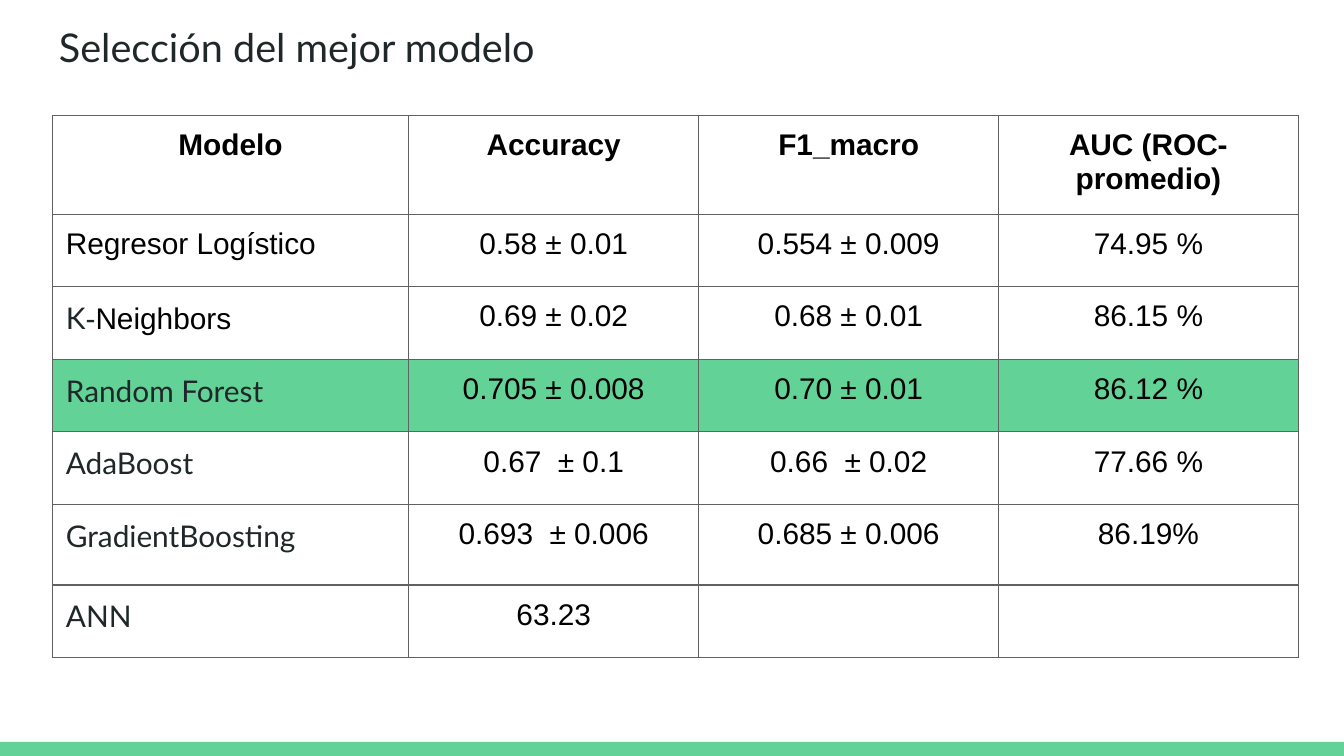
"""Build a slide with a table comparing classification models."""
from pptx import Presentation
from pptx.dml.color import RGBColor
from pptx.enum.shapes import MSO_SHAPE as Shape
from pptx.enum.text import PP_ALIGN as Align
from pptx.oxml import parse_xml
from pptx.oxml.ns import nsdecls
from pptx.util import Inches, Pt

COLORS = {"green": "63D297", "ink": "202729", "black": "000000", "border": "616161"}
HEADERS = ["Modelo", "Accuracy", "F1_macro", "AUC (ROC-promedio)"]
LATO = ("Lato", "ink")
ARIAL = ("Arial", "black")
MODELS = [
    ([("Regresor Logístico", *ARIAL)], "0.58 ± 0.01", "0.554 ± 0.009", "74.95 %"),
    ([("K", *LATO), ("-", "Arial", "ink"), ("Neighbors", *ARIAL)],
     "0.69 ± 0.02", "0.68 ± 0.01", "86.15 %"),
    ([("Random Forest", *LATO)], "0.705 ± 0.008", "0.70 ± 0.01", "86.12 %"),
    ([("AdaBoost", *LATO)], "0.67  ± 0.1", "0.66  ± 0.02", "77.66 %"),
    ([("GradientBoosting", *LATO)], "0.693  ± 0.006", "0.685 ± 0.006", "86.19%"),
    ([("ANN", *LATO)], "63.23", "", ""),
]
BEST_ROW = 3
COLUMN_WIDTHS = [2.65, 2.16, 2.23, 2.23]
ROW_HEIGHTS = [0.73, 0.54, 0.54, 0.54, 0.54, 0.6, 0.54]


class Slide:
    """Hold the style and the current page."""

    def __init__(self, deck):
        self.page = deck.slides.add_slide(deck.slide_layouts[6])
        self.inset = Inches(0.1)

    def color(self, name):
        return RGBColor.from_string(COLORS[name])

    def bar(self, left, top, width, height, color):
        shape = self.page.shapes.add_shape(
            Shape.RECTANGLE, Inches(left), Inches(top), Inches(width), Inches(height))
        shape.shadow.inherit = False
        shape.fill.solid()
        shape.fill.fore_color.rgb = self.color(color)
        shape.line.fill.background()

    def style(self, span, size, face, color, bold=False):
        font = span.font
        font.name, font.size, font.bold = face, Pt(size), bold
        font.color.rgb = self.color(color)

    def margins(self, target):
        target.margin_left = target.margin_right = self.inset
        target.margin_top = target.margin_bottom = self.inset

    def title(self, text, left, top, width, height):
        box = self.page.shapes.add_textbox(
            Inches(left), Inches(top), Inches(width), Inches(height))
        frame = box.text_frame
        frame.word_wrap = True
        self.margins(frame)
        frame.text = text
        self.style(frame.paragraphs[0].runs[0], 21.2, *LATO)

    def borders(self, cell):
        properties = cell._tc.get_or_add_tcPr()
        for position, side in enumerate(("lnL", "lnR", "lnT", "lnB")):
            properties.insert(position, parse_xml(
                f'<a:{side} {nsdecls("a")} w="{Pt(0.75)}"><a:solidFill>'
                f'<a:srgbClr val="{COLORS["border"]}"/></a:solidFill></a:{side}>'))

    def cell(self, cell, spans, centered, bold, fill):
        self.margins(cell)
        if fill:
            cell.fill.solid()
            cell.fill.fore_color.rgb = self.color(fill)
        else:
            cell.fill.background()
        self.borders(cell)
        para = cell.text_frame.paragraphs[0]
        para.alignment = Align.CENTER if centered else Align.LEFT
        for text, face, color in spans:
            span = para.add_run()
            span.text = text
            self.style(span, 16, face, color, bold)

    def table(self, left, top, widths, heights, headers, models):
        table = self.page.shapes.add_table(
            len(heights), len(widths), Inches(left), Inches(top),
            Inches(sum(widths)), Inches(sum(heights))).table
        table.horz_banding = False
        for column, width in zip(table.columns, widths):
            column.width = Inches(width)
        for row, height in zip(table.rows, heights):
            row.height = Inches(height)
        for r, values in enumerate([headers, *models]):
            for c, value in enumerate(values):
                spans = [(value, *ARIAL)] if isinstance(value, str) else value
                self.cell(table.cell(r, c), spans, centered=r == 0 or c > 0,
                          bold=r == 0, fill="green" if r == BEST_ROW else None)


def main():
    deck = Presentation()
    deck.slide_width, deck.slide_height = Inches(10), Inches(10 * 9 / 16)
    slide = Slide(deck)
    slide.bar(0, 5.52, 10, 0.11, "green")
    slide.title("Selección del mejor modelo", 0.34, 0.07, 9.32, 0.63)
    slide.table(0.39, 0.86, COLUMN_WIDTHS, ROW_HEIGHTS, HEADERS, MODELS)
    deck.save("out.pptx")


if __name__ == "__main__":
    main()
